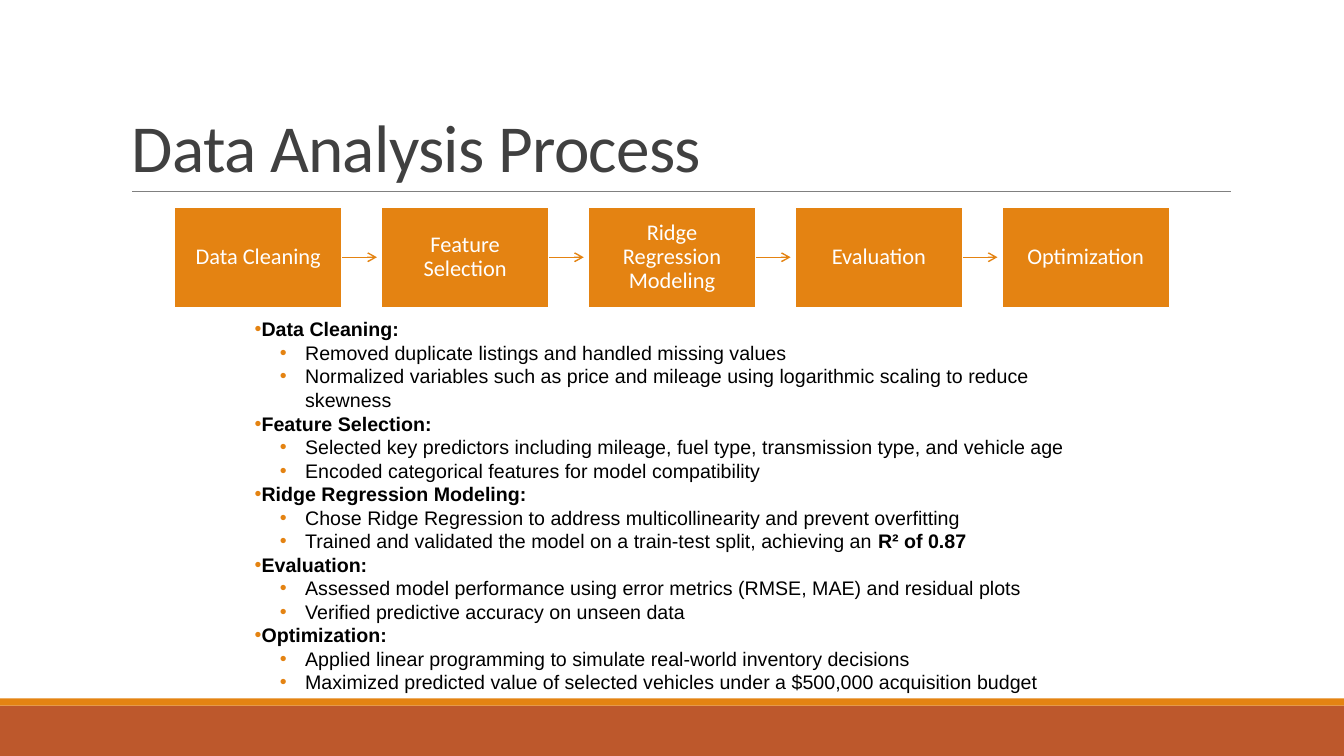
from lxml import etree
from pptx import Presentation
from pptx import util as u
from pptx.dml.color import RGBColor
from pptx.enum import shapes, text
from pptx.oxml import ns

EMU_PER_PX = 9525
COLORS = {
    "orange": "E48312",
    "rust": "BD582C",
    "rule": "808080",
    "title": "404040",
    "white": "FFFFFF",
    "black": "000000",
}
STEPS = [
    ("Data Cleaning", [
        [("Removed duplicate listings and handled missing values", False)],
        [("Normalized variables such as price and mileage using "
          "logarithmic scaling to reduce skewness", False)],
    ]),
    ("Feature Selection", [
        [("Selected key predictors including mileage, fuel type, "
          "transmission type, and vehicle age", False)],
        [("Encoded categorical features for model compatibility", False)],
    ]),
    ("Ridge Regression Modeling", [
        [("Chose Ridge Regression to address multicollinearity "
          "and prevent overfitting", False)],
        [("Trained and validated the model on a train-test split, "
          "achieving an ", False), ("R² of 0.87", True)],
    ]),
    ("Evaluation", [
        [("Assessed model performance using error metrics (RMSE, MAE) "
          "and residual plots", False)],
        [("Verified predictive accuracy on unseen data", False)],
    ]),
    ("Optimization", [
        [("Applied linear programming to simulate real-world "
          "inventory decisions", False)],
        [("Maximized predicted value of selected vehicles under a "
          "$500,000 acquisition budget", False)],
    ]),
]


def px(length):
    """Turn pixels into EMU."""
    return u.Emu(round(length * EMU_PER_PX))


def rgb(name):
    """Look up a named colour."""
    return RGBColor.from_string(COLORS[name])


def add_span(para, words, font, size, color, bold=False):
    """Append one formatted run to a paragraph."""
    span = para.add_run()
    span.text = words
    span.font.name = font
    span.font.size = u.Pt(size)
    span.font.bold = bold
    span.font.color.rgb = rgb(color)
    return span


def add_block(page, left, top, width, height, fill):
    """Draw a flat rectangle without an outline."""
    block = page.shapes.add_shape(
        shapes.MSO_SHAPE.RECTANGLE, px(left), px(top), px(width), px(height))
    block.shadow.inherit = False
    block.fill.solid()
    block.fill.fore_color.rgb = rgb(fill)
    block.line.fill.background()
    return block


def add_line(page, left, right, middle, color, weight):
    """Draw a horizontal line without a shadow."""
    line = page.shapes.add_connector(
        shapes.MSO_CONNECTOR.STRAIGHT, px(left), px(middle), px(right), px(middle))
    line.line.color.rgb = rgb(color)
    line.line.width = u.Pt(weight)
    etree.SubElement(line._element.spPr, ns.qn("a:effectLst"))
    return line


def place(holder, left, top, width, height):
    """Move a placeholder into the given box."""
    holder.left, holder.top = px(left), px(top)
    holder.width, holder.height = px(width), px(height)
    holder.text_frame.auto_size = text.MSO_AUTO_SIZE.NONE
    holder.text_frame.word_wrap = True


def add_bullet(para, margin, indent):
    """Give a paragraph an orange bullet with the given margins."""
    props = para._p.get_or_add_pPr()
    props.set("marL", str(px(margin)))
    props.set("indent", str(px(indent)))
    color = etree.SubElement(props, ns.qn("a:buClr"))
    etree.SubElement(color, ns.qn("a:srgbClr"), val=COLORS["orange"])
    etree.SubElement(props, ns.qn("a:buFont"), typeface="Arial")
    etree.SubElement(props, ns.qn("a:buChar"), char="•")


def draw_footer(page, left, top, width, height):
    """Draw the two-tone band along the bottom edge."""
    stripe = 7
    add_block(page, left, top + stripe, width, height - stripe, "rust")
    add_block(page, left, top, width, stripe, "orange")


def draw_title(page, left, top, width, height):
    """Fill the title placeholder and rule it off below."""
    title = page.shapes.title
    place(title, left, top, width, height)
    title.text_frame.vertical_anchor = text.MSO_ANCHOR.BOTTOM
    para = title.text_frame.paragraphs[0]
    para.alignment = text.PP_ALIGN.LEFT
    para.line_spacing = 0.85
    span = add_span(para, "Data Analysis Process", "Calibri", 48, "title")
    span.font._element.set("spc", "-50")
    add_line(page, left + 10, left + width, top + height, "rule", 0.5)


def draw_flow(page, left, top, width, height):
    """Draw the row of process steps joined by arrows."""
    step_width, gap, inset = 160, 4, 12
    pitch = (width - step_width) / (len(STEPS) - 1)
    for index, (name, _) in enumerate(STEPS):
        start = left + index * pitch
        step = add_block(page, start, top, step_width, height, "orange")
        step.line.color.rgb = rgb("white")
        step.line.width = u.Pt(1.25)
        frame = step.text_frame
        frame.word_wrap = True
        frame.vertical_anchor = text.MSO_ANCHOR.MIDDLE
        frame.margin_left = frame.margin_right = px(inset)
        frame.margin_top = frame.margin_bottom = px(inset)
        para = frame.paragraphs[0]
        para.alignment = text.PP_ALIGN.CENTER
        para.line_spacing = 0.9
        add_span(para, name, "Calibri", 16, "white")
        if index < len(STEPS) - 1:
            arrow = add_line(page, start + step_width, start + pitch - gap,
                             top + height / 2, "orange", 1)
            arrow.begin_connect(step, 3)
            etree.SubElement(arrow.line._get_or_add_ln(),
                             ns.qn("a:tailEnd"), type="arrow")


def draw_details(page, left, top, width, height):
    """Fill the body placeholder with the notes on each step."""
    body = page.placeholders[1]
    place(body, left, top, width, height)
    frame = body.text_frame
    frame.vertical_anchor = text.MSO_ANCHOR.MIDDLE
    rows = []
    for name, notes in STEPS:
        rows.append((0, [(name + ":", True)]))
        rows.extend((1, note) for note in notes)
    for index, (level, spans) in enumerate(rows):
        para = frame.add_paragraph() if index else frame.paragraphs[0]
        para.level = level
        para.line_spacing = 1.0
        para.space_before = para.space_after = u.Pt(0)
        add_bullet(para, 48 * level, -24 * level)
        for words, bold in spans:
            add_span(para, words, "Arial", 14, "black", bold)


def main():
    """Build the deck and save it."""
    deck = Presentation()
    deck.slide_width, deck.slide_height = px(1280), px(720)
    page = deck.slides.add_slide(deck.slide_layouts[1])
    draw_footer(page, 0, 665, 1280, 55)
    draw_title(page, 116, 30, 1056, 152)
    draw_flow(page, 166, 197, 948, 96)
    draw_details(page, 233, 296, 813, 371)
    deck.save("out.pptx")


if __name__ == "__main__":
    main()
